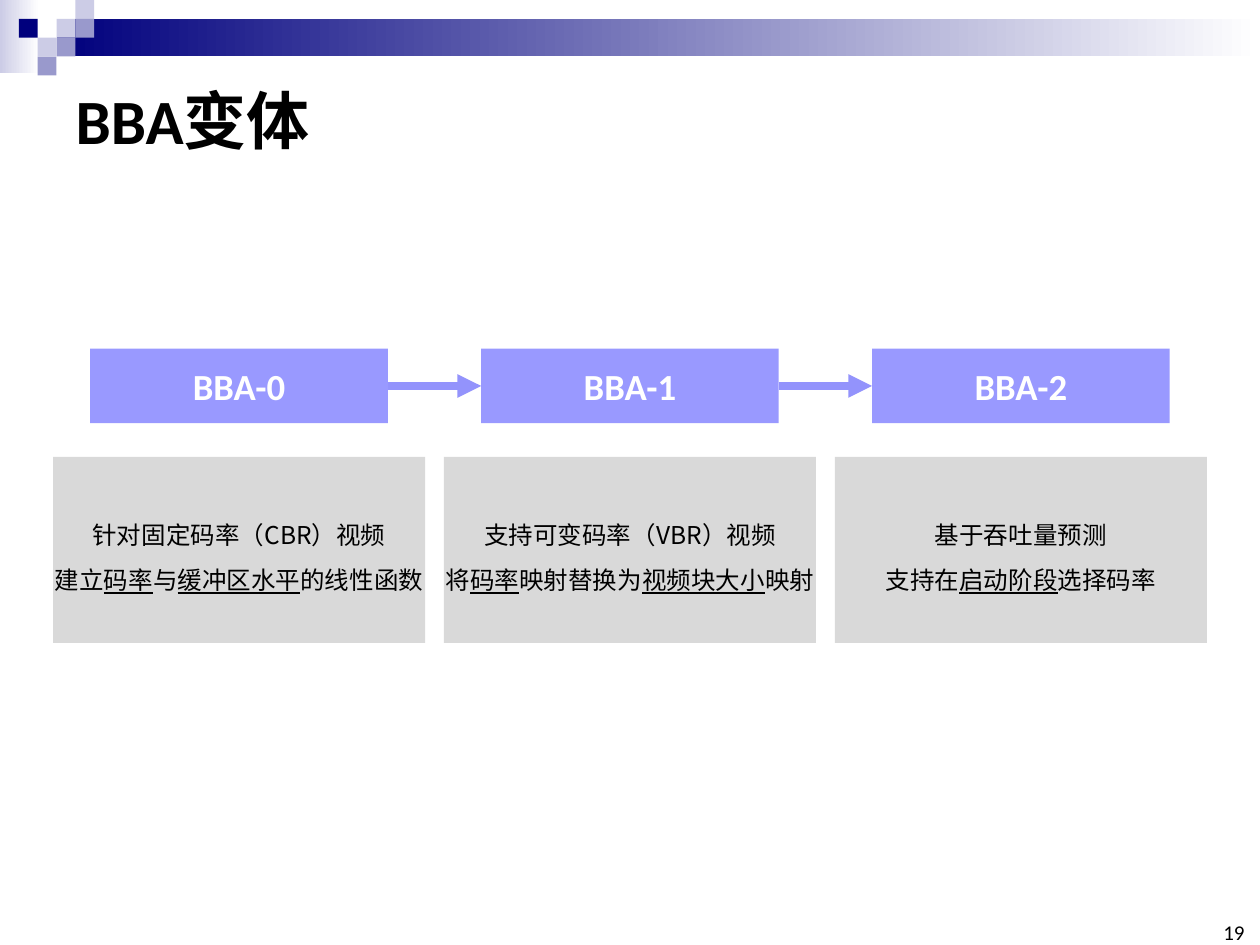
from lxml.etree import SubElement
from pptx import Presentation
from pptx.dml.color import RGBColor
from pptx.enum.shapes import MSO_CONNECTOR, MSO_SHAPE
from pptx.enum.text import MSO_ANCHOR, MSO_AUTO_SIZE, PP_ALIGN
from pptx.oxml.ns import qn
from pptx.util import Cm, Pt

BLACK = RGBColor(0x00, 0x00, 0x00)
WHITE = RGBColor(0xFF, 0xFF, 0xFF)
NAVY = RGBColor(0x00, 0x00, 0x7D)
PALE = RGBColor(0xCC, 0xCC, 0xE6)
MID = RGBColor(0x99, 0x99, 0xCC)
VIOLET = RGBColor(0x99, 0x99, 0xFF)
ARROW = RGBColor(0x93, 0x93, 0xFC)
GREY = RGBColor(0xD9, 0xD9, 0xD9)
LATIN, HAN = "Calibri", "Noto Sans CJK SC"

# Each stage: name, then lines of (text, underlined) runs
STAGES = [
    ("BBA-0", [[("针对固定码率（CBR）视频", False)],
               [("建立", False), ("码率", True), ("与", False),
                ("缓冲区水平", True), ("的线性函数", False)]]),
    ("BBA-1", [[("支持可变码率（VBR）视频", False)],
               [("将", False), ("码率", True), ("映射替换为", False),
                ("视频块大小", True), ("映射", False)]]),
    ("BBA-2", [[("基于吞吐量预测", False)],
               [("支持在", False), ("启动阶段", True), ("选择码率", False)]]),
]


def add_run(para, text, size, color=BLACK, face=LATIN, bold=False, under=False):
    run = para.add_run()
    run.text = text
    font = run.font
    font.name, font.size, font.bold = face, Pt(size), bold
    font.underline = under
    font.color.rgb = color
    SubElement(run._r.get_or_add_rPr(), qn("a:ea"), typeface=HAN)


def add_rect(slide, left, top, width, height, color, fade=False):
    """Add a plain rectangle, fading to white on the right if asked."""
    rect = slide.shapes.add_shape(
        MSO_SHAPE.RECTANGLE, Cm(left), Cm(top), Cm(width), Cm(height))
    rect.shadow.inherit = False
    rect.line.fill.background()
    if fade:
        rect.fill.gradient()
        rect.fill.gradient_angle = 0
        for stop, tone in zip(rect.fill.gradient_stops, (color, WHITE)):
            stop.color.rgb = tone
    else:
        rect.fill.solid()
        rect.fill.fore_color.rgb = color
    return rect


def add_banner(slide, left, top, width):
    cell = 0.38
    add_rect(slide, left, top, 0.79, 1.47, PALE, fade=True)
    start = 3 * cell
    add_rect(slide, left + start, top + cell, width - start, 2 * cell, NAVY, fade=True)
    tiles = [(3, 1, PALE), (4, 0, PALE), (4, 1, MID), (2, 2, PALE),
             (1, 1, NAVY), (3, 2, MID), (2, 3, MID)]
    for col, row, color in tiles:
        add_rect(slide, left + col * cell, top + row * cell, cell, cell, color)


def set_title(slide, left, top, width, height):
    title = slide.shapes.title
    title.left, title.top = Cm(left), Cm(top)
    title.width, title.height = Cm(width), Cm(height)
    frame = title.text_frame
    frame.auto_size = MSO_AUTO_SIZE.NONE
    frame.vertical_anchor = MSO_ANCHOR.MIDDLE
    para = frame.paragraphs[0]
    para.alignment = PP_ALIGN.LEFT
    add_run(para, "BBA变体", 36, bold=True)


def add_stage(slide, left, top, width, name, lines):
    inset = 0.75
    head = add_rect(slide, left + inset, top, width - 2 * inset, 1.5, VIOLET)
    frame = head.text_frame
    frame.vertical_anchor = MSO_ANCHOR.MIDDLE
    para = frame.paragraphs[0]
    para.alignment = PP_ALIGN.CENTER
    add_run(para, name, 21, WHITE, bold=True)

    body = add_rect(slide, left, top + 2.18, width, 3.75, GREY)
    frame = body.text_frame
    frame.word_wrap = False
    frame.vertical_anchor = MSO_ANCHOR.MIDDLE
    for i, line in enumerate(lines):
        para = frame.add_paragraph() if i else frame.paragraphs[0]
        para.alignment = PP_ALIGN.CENTER
        para.line_spacing = 1.5
        for text, under in line:
            add_run(para, text, 14, face=HAN, under=under)
    return head


def add_arrow(slide, source, target):
    level = source.top + source.height // 2
    arrow = slide.shapes.add_connector(
        MSO_CONNECTOR.STRAIGHT, source.left + source.width, level, target.left, level)
    arrow.line.color.rgb = ARROW
    arrow.line.width = Pt(4.5)
    SubElement(arrow.line._get_or_add_ln(), qn("a:tailEnd"), type="triangle")
    SubElement(arrow._element.spPr, qn("a:effectLst"))


def add_flow(slide, left, top, width):
    gap = 0.38
    count = len(STAGES)
    wide = (width - gap * (count - 1)) / count
    heads = [add_stage(slide, left + i * (wide + gap), top, wide, *stage)
             for i, stage in enumerate(STAGES)]
    for source, target in zip(heads, heads[1:]):
        add_arrow(slide, source, target)


def add_number(slide, left, top, width, height):
    box = slide.shapes.add_textbox(Cm(left), Cm(top), Cm(width), Cm(height))
    frame = box.text_frame
    frame.word_wrap = True
    frame.vertical_anchor = MSO_ANCHOR.BOTTOM
    frame.margin_left = frame.margin_right = 0
    frame.margin_top = frame.margin_bottom = 0
    para = frame.paragraphs[0]
    para.alignment = PP_ALIGN.RIGHT
    add_run(para, "19", 12)


def main():
    deck = Presentation()
    deck.slide_width, deck.slide_height = Cm(25.4), Cm(19.05)
    slide = deck.slides.add_slide(deck.slide_layouts[5])
    add_banner(slide, 0, 0, 25.4)
    set_title(slide, 1.27, 1.27, 22.86, 2.26)
    add_flow(slide, 1.07, 7.03, 23.26)
    add_number(slide, 24.51, 18.62, 0.58, 0.43)
    deck.save("out.pptx")


if __name__ == "__main__":
    main()
